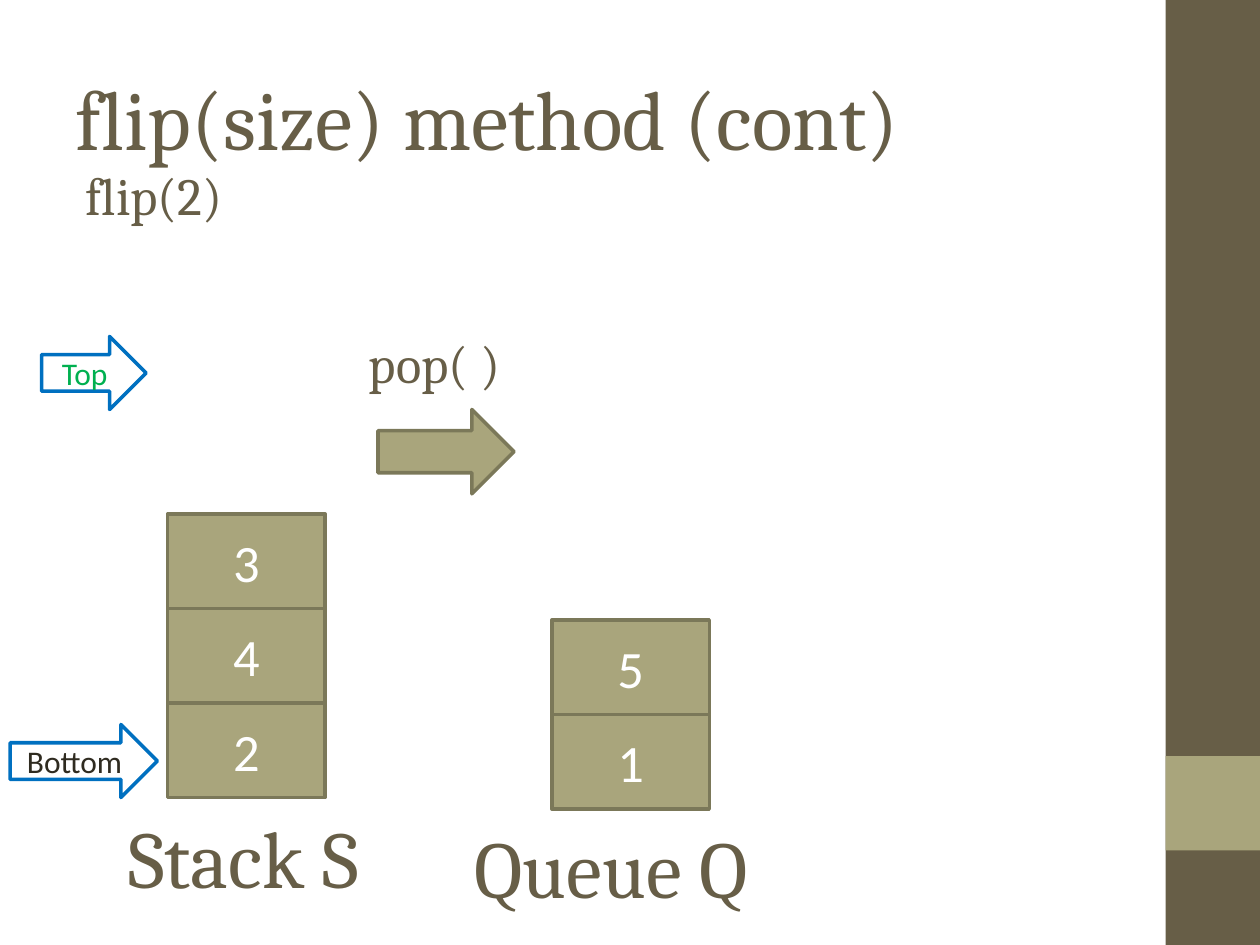
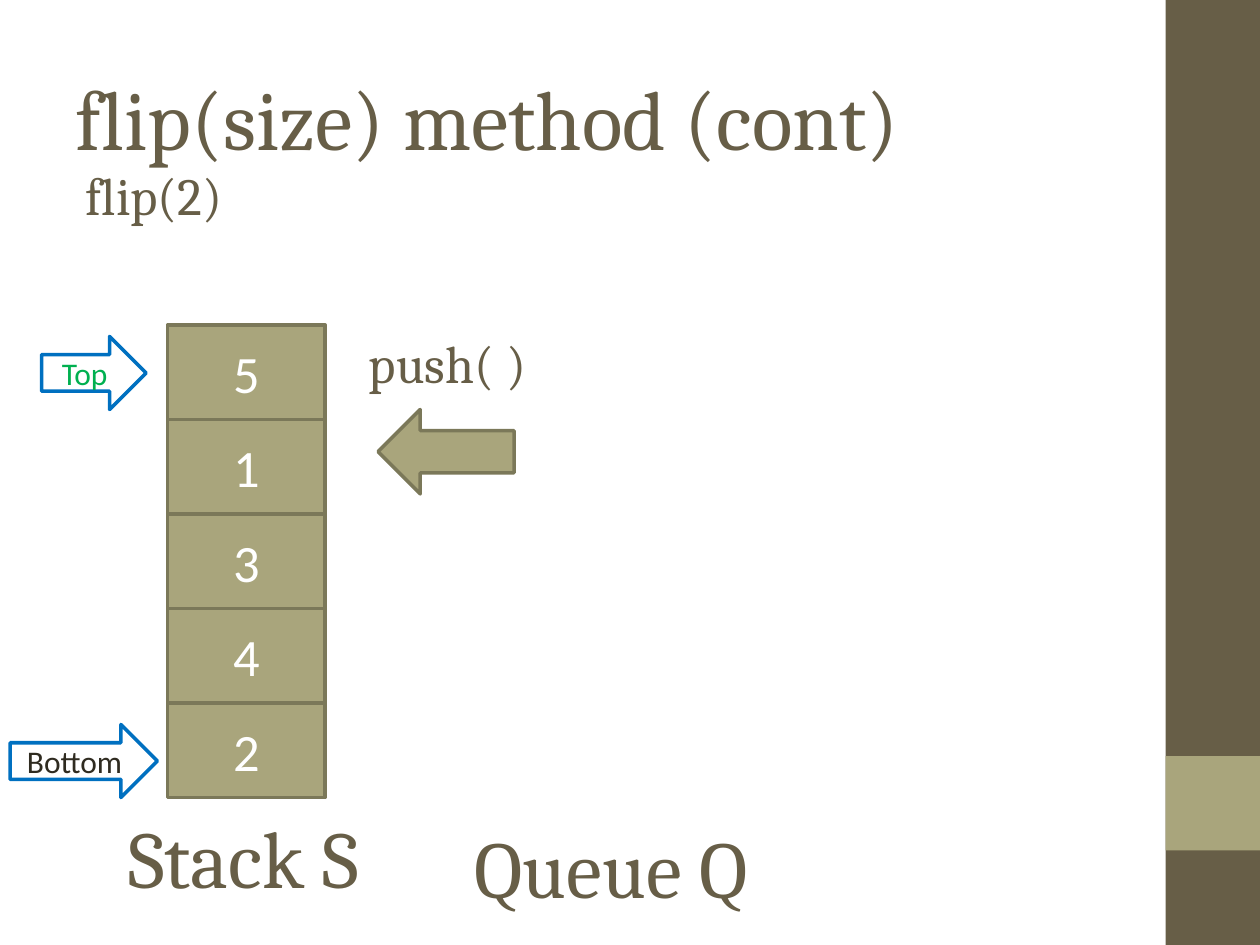
from dataclasses import dataclass

from pptx import Presentation
from pptx.dml.color import RGBColor
from pptx.enum import shapes, text
from pptx.util import Inches, Pt

RECT = shapes.MSO_SHAPE.RECTANGLE
ARROW = shapes.MSO_SHAPE.RIGHT_ARROW


@dataclass(frozen=True)
class Theme:
    dark: str = "675E47"
    tan: str = "A9A57C"
    edge: str = "7B7859"
    white: str = "FFFFFF"
    blue: str = "0070C0"
    green: str = "00B050"
    ink: str = "2F2B20"
    serif: str = "Cambria"
    sans: str = "Calibri"
    title: int = 48
    name: int = 46
    body: int = 30
    mark: int = 18
    line: int = 2


T = Theme()
CELL_W, CELL_H = 1.25, 0.75


def write(shape, words, size=T.body, font=T.serif, color=T.dark, center=False):
    frame = shape.text_frame
    frame.word_wrap = True
    frame.vertical_anchor = text.MSO_ANCHOR.MIDDLE
    para = frame.paragraphs[0]
    para.alignment = text.PP_ALIGN.CENTER if center else text.PP_ALIGN.LEFT
    run = para.add_run()
    run.text = words
    run.font.size = Pt(size)
    run.font.name = font
    run.font.color.rgb = RGBColor.from_string(color)


def label(slide, words, left, top, width, **style):
    box = slide.shapes.add_textbox(
        Inches(left), Inches(top), Inches(width), Inches(1.25))
    write(box, words, **style)


def block(slide, kind, left, top, width, height, fill=T.tan, edge=None):
    shape = slide.shapes.add_shape(
        kind, Inches(left), Inches(top), Inches(width), Inches(height))
    shape.shadow.inherit = False
    shape.fill.solid()
    shape.fill.fore_color.rgb = RGBColor.from_string(fill)
    if edge:
        shape.line.color.rgb = RGBColor.from_string(edge)
        shape.line.width = Pt(T.line)
    else:
        shape.line.fill.background()
    return shape


def pile(slide, items, left, base):
    """Stack the items, first on top, so that the last one rests on base."""
    top = base - CELL_H * len(items)
    for i, item in enumerate(items):
        cell = block(slide, RECT, left, top + i * CELL_H, CELL_W, CELL_H,
                     edge=T.edge)
        write(cell, item, font=T.sans, color=T.white, center=True)


def marker(slide, words, left, top, width, color):
    arrow = block(slide, ARROW, left, top, width, 0.58, T.white, T.blue)
    write(arrow, words, size=T.mark, font=T.sans, color=color, center=True)


def frame(deck):
    """Add a slide with the side band and the headings."""
    slide = deck.slides.add_slide(deck.slide_layouts[6])
    block(slide, RECT, 9.25, 0, 0.75, 7.5, T.dark)
    block(slide, RECT, 9.25, 6, 0.75, 0.75)
    label(slide, "flip(size) method (cont)", 0.5, 0.3, 8.33, size=T.title)
    label(slide, "flip(2)", 0.58, 0.92, 8.33)
    return slide


def step(deck, call, stack, queue, turn=0):
    """Show the stack and the queue, and the call that moves items."""
    slide = frame(deck)
    pile(slide, stack, 1.33, 6.33)
    pile(slide, queue, 4.38, 6.42)
    marker(slide, "Top", 0.33, 2.67, 0.83, T.green)
    marker(slide, "Bottom", 0.08, 5.75, 1.17, T.ink)
    move = block(slide, ARROW, 3, 3.25, 1.08, 0.67, edge=T.edge)
    move.rotation = turn
    label(slide, call, 2.83, 2.25, 1.67)
    label(slide, "Stack S", 0.92, 6.17, 2.33, size=T.name)
    label(slide, "Queue Q", 3.67, 6.25, 2.67, size=T.name)


def main():
    deck = Presentation()
    deck.slide_width, deck.slide_height = Inches(10), Inches(7.5)
    step(deck, "pop( )", stack="342", queue="51")
    step(deck, "push( )", stack="51342", queue="", turn=180)
    deck.save("out.pptx")


if __name__ == "__main__":
    main()
